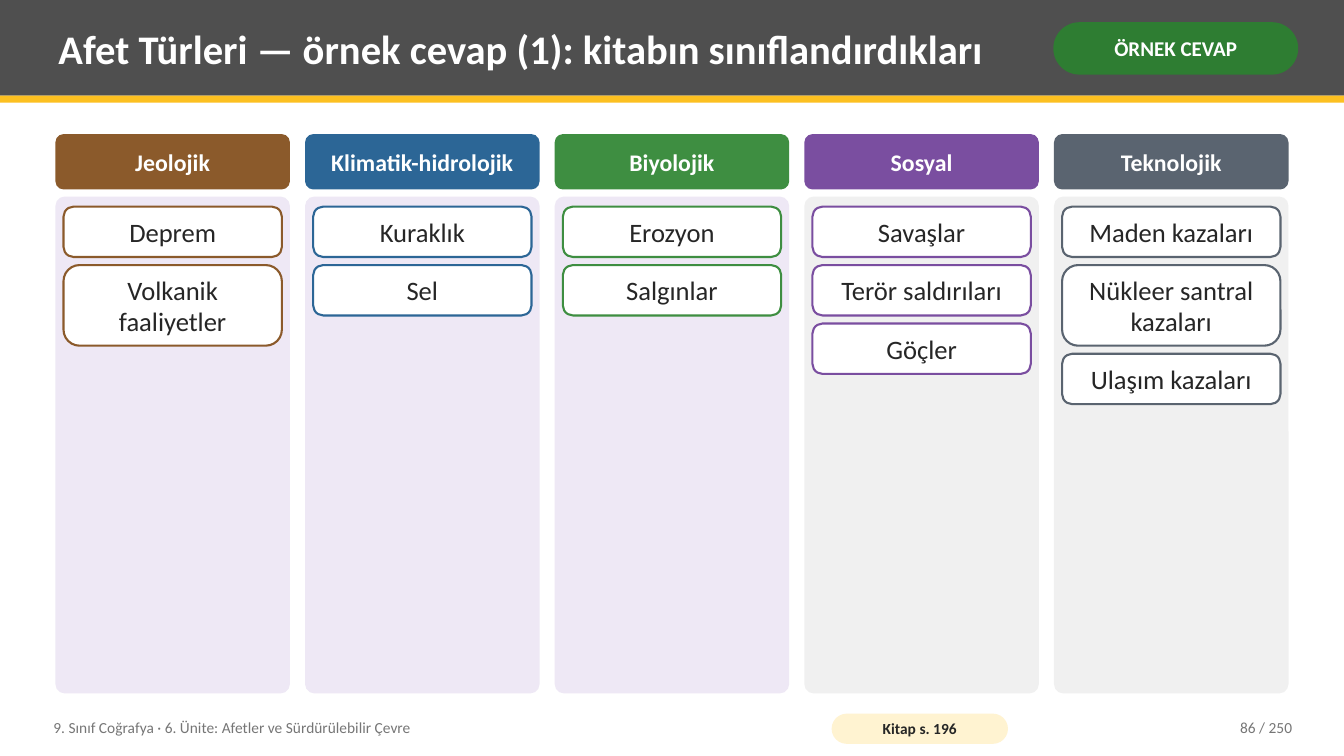
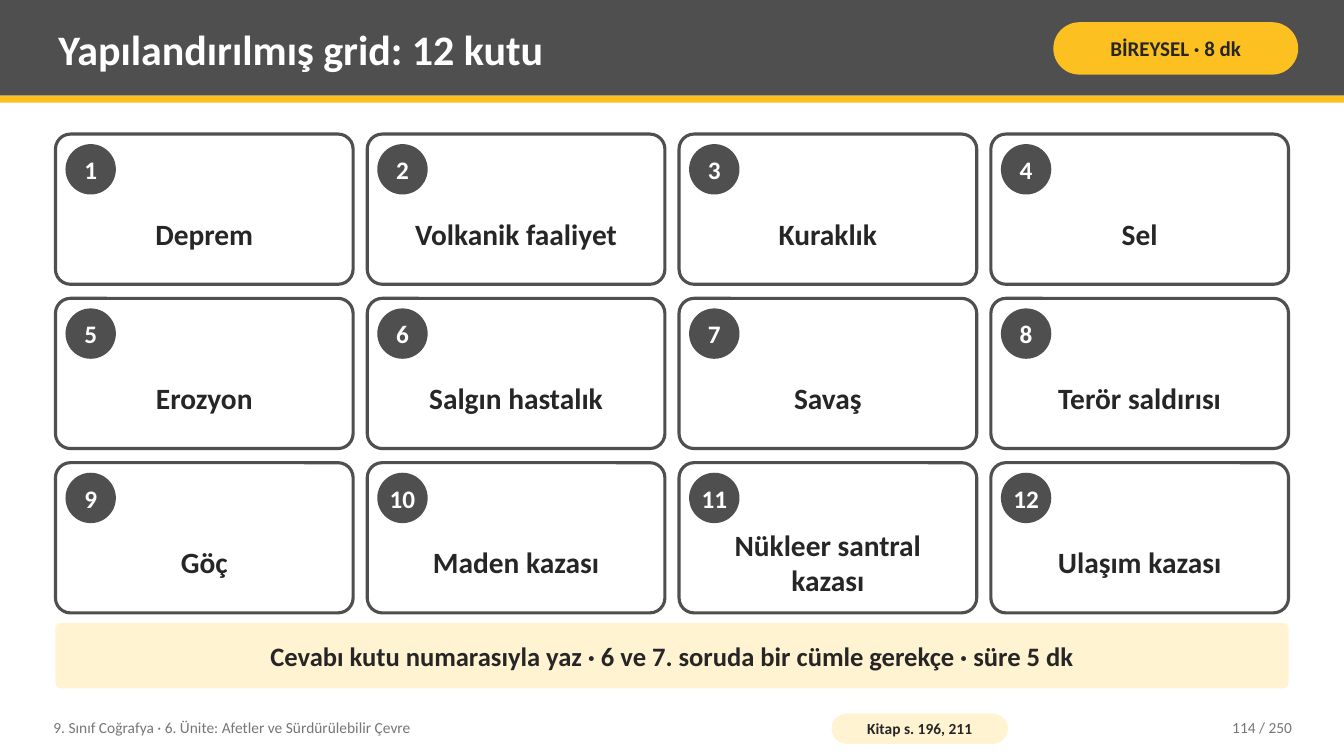
from pptx import Presentation
from pptx.dml.color import RGBColor
from pptx.enum.shapes import MSO_SHAPE
from pptx.enum.text import MSO_ANCHOR, MSO_AUTO_SIZE, PP_ALIGN
from pptx.util import Inches, Pt

# Shared look
FONT = "Calibri"
WHITE, INK, MUTED = "FFFFFF", "262626", "767676"
CHARCOAL, AMBER, CREAM, GREEN = "4F4F4F", "FCC021", "FFF3D1", "2E7D32"
LILAC, PALE_GREY = "EEE8F5", "F0F0F0"

# Page grid, in inches
PAGE_WIDTH, PAGE_HEIGHT = 40 / 3, 7.5
MARGIN, CONTENT_TOP = 0.55, 1.33
CONTENT_WIDTH = PAGE_WIDTH - 2 * MARGIN
TEXT_INSETS = (0.08, 0.04)
UNIT = "9. Sınıf Coğrafya · 6. Ünite: Afetler ve Sürdürülebilir Çevre"
PAGE_TOTAL = 250

# Heading, heading colour, column colour, cards
DISASTER_TYPES = [
    ("Jeolojik", "8B5A2B", LILAC, ["Deprem", "Volkanik faaliyetler"]),
    ("Klimatik-hidrolojik", "2C6696", LILAC, ["Kuraklık", "Sel"]),
    ("Biyolojik", "3E8E41", LILAC, ["Erozyon", "Salgınlar"]),
    ("Sosyal", "7A4EA0", PALE_GREY,
     ["Savaşlar", "Terör saldırıları", "Göçler"]),
    ("Teknolojik", "5A6470", PALE_GREY,
     ["Maden kazaları", "Nükleer santral kazaları", "Ulaşım kazaları"]),
]
GRID_BOXES = [
    "Deprem", "Volkanik faaliyet", "Kuraklık", "Sel",
    "Erozyon", "Salgın hastalık", "Savaş", "Terör saldırısı",
    "Göç", "Maden kazası", "Nükleer santral kazası", "Ulaşım kazası",
]


def rgb(value):
    return RGBColor.from_string(value)


def place(item, left, top, width, height):
    item.left, item.top = Inches(left), Inches(top)
    item.width, item.height = Inches(width), Inches(height)


def write(item, text, size, color, bold=False, align=PP_ALIGN.CENTER,
          insets=TEXT_INSETS, wrap=True):
    """Put one formatted paragraph, centred vertically, into a shape."""
    frame = item.text_frame
    frame.text = text
    frame.word_wrap = wrap
    frame.auto_size = MSO_AUTO_SIZE.NONE
    frame.vertical_anchor = MSO_ANCHOR.MIDDLE
    frame.margin_left = frame.margin_right = Inches(insets[0])
    frame.margin_top = frame.margin_bottom = Inches(insets[1])
    para = frame.paragraphs[0]
    para.alignment = align
    font = para.runs[0].font
    font.name, font.size, font.bold = FONT, Pt(size), bold
    font.color.rgb = rgb(color)


def add_panel(page, area, fill, kind=MSO_SHAPE.RECTANGLE, line=None,
              line_width=1.5):
    panel = page.shapes.add_shape(kind, *map(Inches, area))
    panel.shadow.inherit = False
    panel.fill.solid()
    panel.fill.fore_color.rgb = rgb(fill)
    if line:
        panel.line.color.rgb = rgb(line)
        panel.line.width = Pt(line_width)
    else:
        panel.line.fill.background()
    return panel


def add_rounded(page, area, fill, radius, **outline):
    panel = add_panel(page, area, fill, MSO_SHAPE.ROUNDED_RECTANGLE, **outline)
    panel.adjustments[0] = radius
    return panel


def add_label(page, area, text, size, color, **style):
    box = page.shapes.add_textbox(*map(Inches, area))
    write(box, text, size, color, **style)


def columns(count, gap):
    """Return the left edges and common width of equal columns."""
    width = (CONTENT_WIDTH - gap * (count - 1)) / count
    return [MARGIN + i * (width + gap) for i in range(count)], width


def add_page(deck, title, title_size, badge, badge_fill, badge_color,
             book_pages, number):
    page = deck.slides.add_slide(deck.slide_layouts[5])

    # Header band with the title in front of it
    add_panel(page, (0, 0, PAGE_WIDTH, 0.95), CHARCOAL)
    stripe = add_panel(page, (0, 0.95, PAGE_WIDTH, 0.07), AMBER)
    heading = page.shapes.title
    stripe.element.addnext(heading.element)
    place(heading, 0.5, 0.07, 9.75, 0.82)
    write(heading, title, title_size, WHITE, bold=True, align=PP_ALIGN.LEFT)
    pill = add_rounded(page, (10.45, 0.22, 2.43, 0.52), badge_fill, 0.5)
    write(pill, badge, 15, badge_color, bold=True, insets=(0.05, 0.02))

    # Footer
    add_label(page, (0.45, 7.04, 7.6, 0.36), UNIT, 11, MUTED,
              align=PP_ALIGN.LEFT)
    source = add_rounded(page, (8.25, 7.08, 1.75, 0.3), CREAM, 0.5)
    write(source, f"Kitap s. {book_pages}", 11, INK, bold=True,
          insets=(0.04, 0))
    add_label(page, (11.3, 7.04, 1.6, 0.36), f"{number} / {PAGE_TOTAL}", 11,
              MUTED, align=PP_ALIGN.RIGHT)
    return page


def add_type_column(page, left, width, heading, color, tint, cards):
    head = add_rounded(page, (left, CONTENT_TOP, width, 0.55), color, 0.15)
    write(head, heading, 17, WHITE, bold=True, insets=(0.05, 0.08))
    add_rounded(page, (left, 1.95, width, 4.93), tint, 0.04)

    # Cards stack downwards; long names take two lines
    gap, line_chars, top = 0.08, 18, 2.05
    for name in cards:
        height = 0.8 if len(name) > line_chars else 0.5
        area = (left + gap, top, width - 2 * gap, height)
        card = add_rounded(page, area, WHITE, 0.2, line=color)
        write(card, name, 19, INK, insets=(0.06, 0.02))
        top += height + gap


def add_numbered_box(page, left, top, width, height, number, name):
    add_rounded(page, (left, top, width, height), WHITE, 0.1,
                line=CHARCOAL, line_width=2.25)
    disc = add_panel(page, (left + 0.1, top + 0.1, 0.5, 0.5), CHARCOAL,
                     MSO_SHAPE.OVAL)
    write(disc, str(number), 18, WHITE, bold=True, insets=(0, 0), wrap=False)
    add_label(page, (left + 0.12, top + 0.55, width - 0.24, 0.87), name, 21,
              INK, bold=True)


def build_types_page(deck):
    page = add_page(
        deck, "Afet Türleri — örnek cevap (1): kitabın sınıflandırdıkları", 29,
        "ÖRNEK CEVAP", GREEN, WHITE, "196", 86)
    lefts, width = columns(len(DISASTER_TYPES), 0.15)
    for left, disaster_type in zip(lefts, DISASTER_TYPES):
        add_type_column(page, left, width, *disaster_type)


def build_grid_page(deck):
    page = add_page(deck, "Yapılandırılmış grid: 12 kutu", 30,
                    "BİREYSEL · 8 dk", AMBER, INK, "196, 211", 114)
    gap, height = 0.14, 1.49
    lefts, width = columns(4, gap)
    for index, name in enumerate(GRID_BOXES):
        row, column = divmod(index, len(lefts))
        top = CONTENT_TOP + row * (height + gap)
        add_numbered_box(page, lefts[column], top, width, height,
                         index + 1, name)

    # Instruction strip
    strip = add_rounded(page, (MARGIN, 6.18, CONTENT_WIDTH, 0.65), CREAM, 0.08)
    write(strip,
          "Cevabı kutu numarasıyla yaz · 6 ve 7. soruda bir cümle gerekçe"
          " · süre 5 dk",
          19, INK, bold=True, insets=(0.14, 0.08))


def main():
    deck = Presentation()
    deck.slide_width, deck.slide_height = Inches(PAGE_WIDTH), Inches(PAGE_HEIGHT)
    build_types_page(deck)
    build_grid_page(deck)
    deck.save("out.pptx")


if __name__ == "__main__":
    main()
